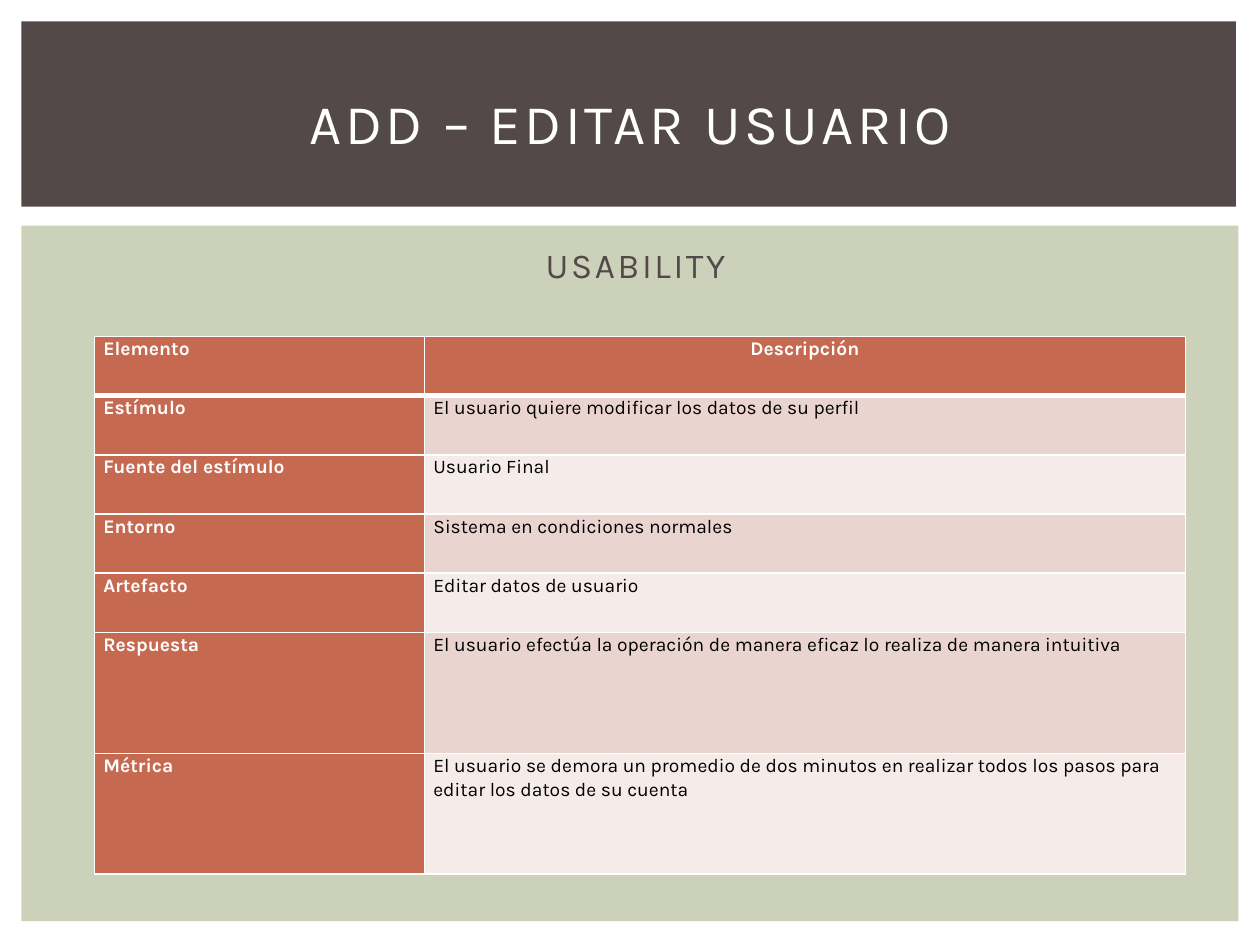
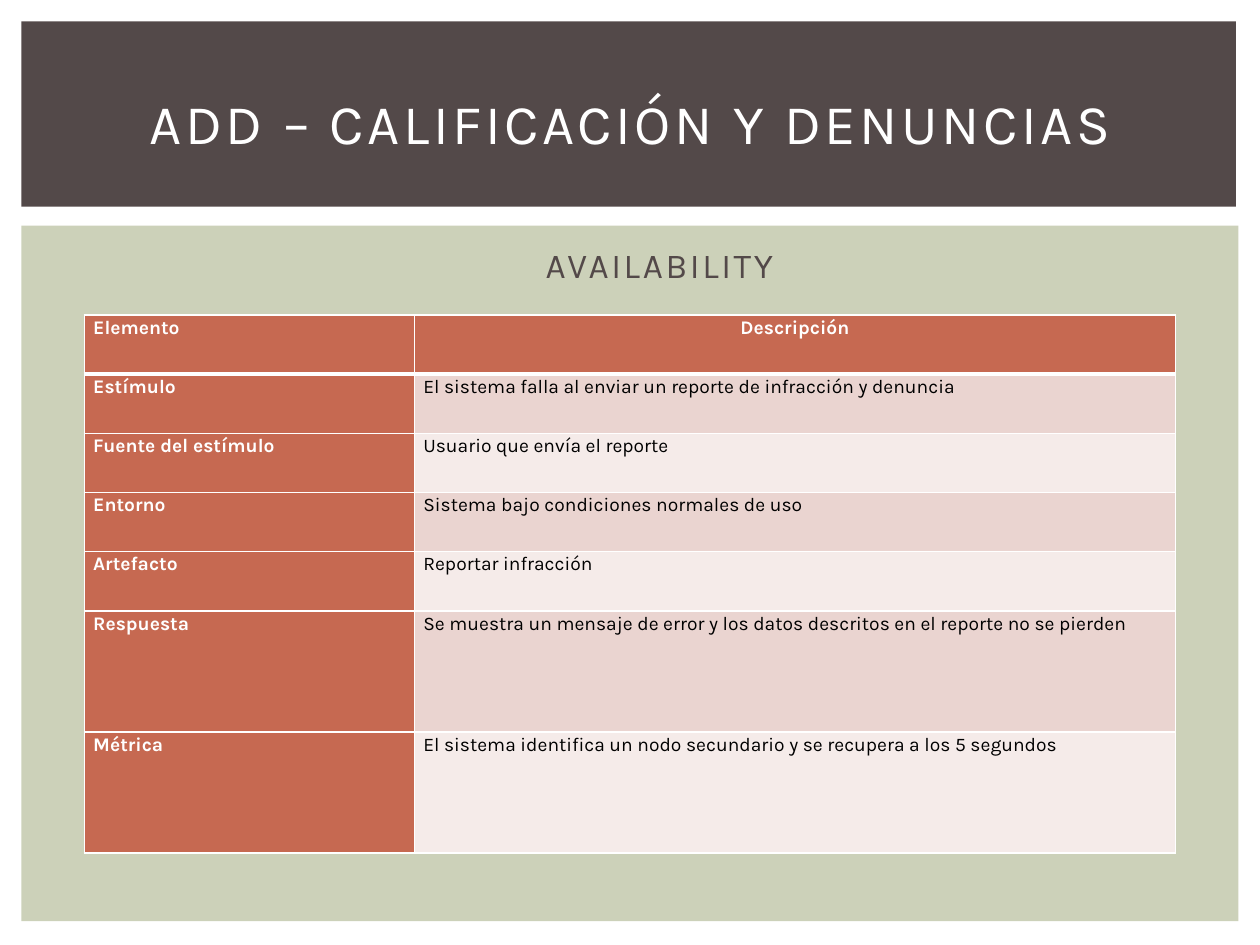
from dataclasses import dataclass

from lxml import etree
from pptx import Presentation
from pptx.dml.color import RGBColor
from pptx.enum.shapes import MSO_SHAPE
from pptx.enum.text import MSO_ANCHOR, PP_ALIGN
from pptx.oxml.ns import qn
from pptx.slide import Slide
from pptx.table import _Cell
from pptx.text.text import TextFrame
from pptx.util import Inches, Pt

RECTANGLE = MSO_SHAPE.RECTANGLE
TOP, MIDDLE = MSO_ANCHOR.TOP, MSO_ANCHOR.MIDDLE
LEFT, CENTER = PP_ALIGN.LEFT, PP_ALIGN.CENTER

FONT = "Karla"
WHITE, BLACK, BROWN, SAGE = "FFFFFF", "000000", "534949", "CCD1B9"
RUST, ROSE, BLUSH = "C66951", "EAD4D0", "F5EBE9"

HEADINGS = ("Elemento", "Descripción")
ELEMENTS = ("Estímulo", "Fuente del estímulo", "Entorno", "Artefacto", "Respuesta", "Métrica")
COLUMN_WIDTHS = (2.62, 6.04)
ROW_HEIGHTS = (0.47,) * 5 + (0.96,) * 2
THIN, THICK = 1, 3


@dataclass(frozen=True)
class Band:
    left: float
    top: float
    width: float
    height: float
    color: str


@dataclass(frozen=True)
class TextStyle:
    size: float
    color: str
    align: PP_ALIGN = LEFT
    bold: bool = False
    tracking: float = 0
    line_spacing: float = 1.0


@dataclass(frozen=True)
class Caption:
    left: float
    top: float
    width: float
    height: float
    anchor: MSO_ANCHOR
    indent: float
    style: TextStyle


@dataclass(frozen=True)
class Scenario:
    title: str
    quality: str
    table_left: float
    table_top: float
    descriptions: tuple[str, ...]


BANDS = (
    Band(0.17, 1.79, 9.66, 5.52, SAGE),
    Band(0.17, 0.17, 9.64, 1.47, BROWN),
)
TITLE = Caption(0.42, 0.39, 9.17, 1.15, MIDDLE, 0.1, TextStyle(32, WHITE, CENTER, tracking=2))
QUALITY = Caption(0.42, 1.88, 9.19, 0.5, TOP, 3.91, TextStyle(20, BROWN, tracking=1.5))

LABEL_STYLE = TextStyle(11, WHITE, bold=True, line_spacing=1.07)
HEADING_STYLE = TextStyle(11, WHITE, CENTER, bold=True, line_spacing=1.07)
DESCRIPTION_STYLE = TextStyle(11, BLACK, line_spacing=1.07)

SCENARIOS = (
    Scenario("ADD – EDITAR USUARIO", "USABILITY", 0.75, 2.67, (
        "El usuario quiere modificar los datos de su perfil",
        "Usuario Final",
        "Sistema en condiciones normales",
        "Editar datos de usuario",
        "El usuario efectúa la operación de manera eficaz lo realiza de manera intuitiva",
        "El usuario se demora un promedio de dos minutos en realizar todos los pasos "
        "para editar los datos de su cuenta",
    )),
    Scenario("ADD – CALIFICACIÓN Y DENUNCIAS", "AVAILABILITY", 0.67, 2.5, (
        "El sistema falla al enviar un reporte de infracción y denuncia",
        "Usuario que envía el reporte",
        "Sistema bajo condiciones normales de uso",
        "Reportar infracción",
        "Se muestra un mensaje de error y los datos descritos en el reporte no se pierden",
        "El sistema identifica un nodo secundario y se recupera a los 5 segundos",
    )),
)


def rgb(color: str) -> RGBColor:
    return RGBColor.from_string(color)


def apply_format(target: object, values: dict[str, object]) -> None:
    for name, value in values.items():
        setattr(target, name, value)


def write_text(frame: TextFrame, text: str, style: TextStyle) -> None:
    paragraph = frame.paragraphs[0]
    apply_format(paragraph, {"alignment": style.align, "line_spacing": style.line_spacing})
    run = paragraph.add_run()
    run.text = text
    apply_format(run.font, {"name": FONT, "size": Pt(style.size), "bold": style.bold})
    run.font.color.rgb = rgb(style.color)
    if style.tracking:
        run._r.get_or_add_rPr().set("spc", str(int(style.tracking * 100)))


def draw_band(slide: Slide, band: Band) -> None:
    shape = slide.shapes.add_shape(
        RECTANGLE, Inches(band.left), Inches(band.top), Inches(band.width), Inches(band.height)
    )
    shape.shadow.inherit = False
    shape.fill.solid()
    shape.fill.fore_color.rgb = rgb(band.color)
    shape.line.fill.background()


def draw_caption(slide: Slide, caption: Caption, text: str) -> None:
    box = slide.shapes.add_textbox(
        Inches(caption.left), Inches(caption.top), Inches(caption.width), Inches(caption.height)
    )
    apply_format(box.text_frame, {
        "word_wrap": True,
        "vertical_anchor": caption.anchor,
        "margin_left": Inches(caption.indent),
    })
    write_text(box.text_frame, text, caption.style)


def set_borders(cell: _Cell, widths: dict[str, float]) -> None:
    properties = cell._tc.get_or_add_tcPr()
    for side, width in widths.items():
        border = etree.SubElement(properties, qn(f"a:ln{side}"), w=str(Pt(width)))
        fill = etree.SubElement(border, qn("a:solidFill"))
        etree.SubElement(fill, qn("a:srgbClr"), val=WHITE)


def fill_cell(cell: _Cell, text: str, style: TextStyle, color: str, row: int) -> None:
    set_borders(cell, {
        "L": THIN,
        "R": THIN,
        "T": THICK if row == 1 else THIN,
        "B": THICK if row == 0 else THIN,
    })
    cell.fill.solid()
    cell.fill.fore_color.rgb = rgb(color)
    apply_format(cell, {
        "margin_left": Inches(0.07),
        "margin_right": Inches(0.07),
        "margin_top": 0,
        "margin_bottom": 0,
        "vertical_anchor": TOP,
    })
    write_text(cell.text_frame, text, style)


def draw_scenario_table(slide: Slide, scenario: Scenario) -> None:
    table = slide.shapes.add_table(
        len(ROW_HEIGHTS), len(COLUMN_WIDTHS),
        Inches(scenario.table_left), Inches(scenario.table_top),
        Inches(sum(COLUMN_WIDTHS)), Inches(sum(ROW_HEIGHTS)),
    ).table
    for column, width in zip(table.columns, COLUMN_WIDTHS):
        column.width = Inches(width)
    for row, height in zip(table.rows, ROW_HEIGHTS):
        row.height = Inches(height)
    entries = (HEADINGS, *zip(ELEMENTS, scenario.descriptions))
    for index, (label, description) in enumerate(entries):
        fill_cell(table.cell(index, 0), label, LABEL_STYLE, RUST, index)
        if index == 0:
            style, color = HEADING_STYLE, RUST
        else:
            style, color = DESCRIPTION_STYLE, ROSE if index % 2 else BLUSH
        fill_cell(table.cell(index, 1), description, style, color, index)


def main() -> None:
    presentation = Presentation()
    apply_format(presentation, {"slide_width": Inches(10), "slide_height": Inches(7.5)})
    blank = presentation.slide_layouts[6]
    for scenario in SCENARIOS:
        slide = presentation.slides.add_slide(blank)
        for band in BANDS:
            draw_band(slide, band)
        draw_caption(slide, QUALITY, scenario.quality)
        draw_caption(slide, TITLE, scenario.title)
        draw_scenario_table(slide, scenario)
    presentation.save("out.pptx")


if __name__ == "__main__":
    main()
